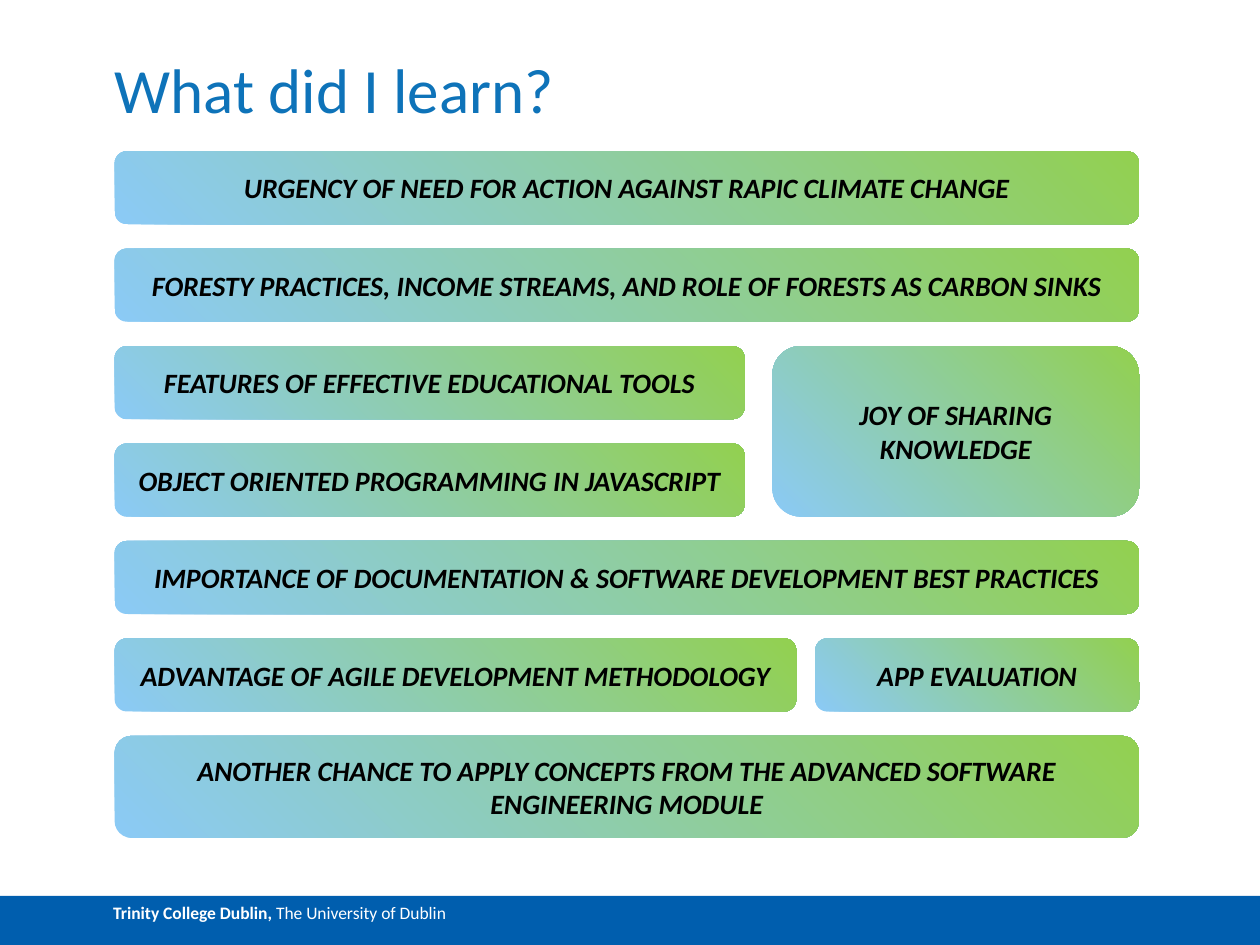
from lxml import etree
from pptx import Presentation
from pptx.dml.color import RGBColor
from pptx.enum.shapes import MSO_SHAPE
from pptx.enum.text import MSO_ANCHOR, PP_ALIGN
from pptx.oxml.ns import qn
from pptx.util import Inches, Pt

RECTANGLE, ROUNDED = MSO_SHAPE.RECTANGLE, MSO_SHAPE.ROUNDED_RECTANGLE
TOP, MIDDLE, BOTTOM = MSO_ANCHOR.TOP, MSO_ANCHOR.MIDDLE, MSO_ANCHOR.BOTTOM
LEFT, CENTER = PP_ALIGN.LEFT, PP_ALIGN.CENTER

BAR_BLUE = RGBColor(0x00, 0x5E, 0xAE)
TITLE_BLUE = RGBColor(0x0E, 0x73, 0xB9)
GREEN = RGBColor(0x92, 0xD0, 0x50)
SKY = RGBColor(0x8B, 0xCA, 0xF6)
BLACK = RGBColor(0x00, 0x00, 0x00)
WHITE = RGBColor(0xFF, 0xFF, 0xFF)

# Grid: seven rows between the first and last box tops
MARGIN, RIGHT = 0.91, 9.04
FIRST_ROW, LAST_ROW = 1.2, 5.84
PITCH = (LAST_ROW - FIRST_ROW) / 6
ROW_HEIGHT = 0.58


def style_span(span, size, color, bold=False, italic=False):
    span.font.name = "Calibri"
    span.font.size = Pt(size)
    span.font.color.rgb = color
    span.font.bold = bold
    span.font.italic = italic


def fill_from_top_right(shape):
    """Fill with a circular gradient, green in the top right corner."""
    shape.fill.gradient()
    for stop, color in zip(shape.fill.gradient_stops, (GREEN, SKY)):
        stop.color.rgb = color
    gradient = shape._element.spPr.find(qn("a:gradFill"))
    gradient.remove(gradient.find(qn("a:lin")))
    circle = etree.Element(qn("a:path"), path="circle")
    etree.SubElement(circle, qn("a:fillToRect"), l="100000", b="100000")
    gradient.find(qn("a:gsLst")).addnext(circle)


deck = Presentation()
deck.slide_width, deck.slide_height = Inches(10), Inches(7.5)
page = deck.slides.add_slide(deck.slide_layouts[5])

# Title
title = page.shapes.title
title.left, title.top = Inches(MARGIN), Inches(0.39)
title.width, title.height = Inches(8.2), Inches(0.61)
frame = title.text_frame
frame.text = "What did I learn?"
frame.margin_left = frame.margin_right = frame.margin_top = frame.margin_bottom = 0
frame.vertical_anchor = BOTTOM
frame.paragraphs[0].alignment = LEFT
style_span(frame.paragraphs[0].runs[0], 36, TITLE_BLUE)

# Footer bar
footer = page.shapes.add_shape(RECTANGLE, 0, Inches(7.11), deck.slide_width, Inches(0.39))
footer.shadow.inherit = False
footer.fill.solid()
footer.fill.fore_color.rgb = BAR_BLUE
footer.line.fill.background()
footer.text_frame.vertical_anchor = TOP
paragraph = footer.text_frame.paragraphs[0]
paragraph.alignment = LEFT
properties = paragraph._p.get_or_add_pPr()
properties.set("marL", str(Inches(0.8)))
properties.set("indent", "0")
for words, bold in (("Trinity College Dublin, ", True), ("The University of Dublin", False)):
    span = paragraph.add_run()
    span.text = words
    style_span(span, 10, WHITE, bold)

# Lessons: row, left edge, right edge, height, text
lessons = [
    (0, MARGIN, RIGHT, ROW_HEIGHT, "URGENCY OF NEED FOR ACTION AGAINST RAPIC CLIMATE CHANGE"),
    (1, MARGIN, RIGHT, ROW_HEIGHT,
     "FORESTY PRACTICES, INCOME STREAMS, AND ROLE OF FORESTS AS CARBON SINKS"),
    (2, MARGIN, 5.91, ROW_HEIGHT, "FEATURES OF EFFECTIVE EDUCATIONAL TOOLS"),
    (3, MARGIN, 5.91, ROW_HEIGHT, "OBJECT ORIENTED PROGRAMMING IN JAVASCRIPT"),
    (4, MARGIN, RIGHT, ROW_HEIGHT,
     "IMPORTANCE OF DOCUMENTATION & SOFTWARE DEVELOPMENT BEST PRACTICES"),
    (5, MARGIN, 6.32, ROW_HEIGHT, "ADVANTAGE OF AGILE DEVELOPMENT METHODOLOGY"),
    (6, MARGIN, RIGHT, 0.81,
     "ANOTHER CHANCE TO APPLY CONCEPTS FROM THE ADVANCED SOFTWARE ENGINEERING MODULE"),
    (2, 6.13, RIGHT, PITCH + ROW_HEIGHT, "JOY OF SHARING KNOWLEDGE"),
    (5, 6.47, RIGHT, ROW_HEIGHT, "APP EVALUATION"),
]
for row, left, right, height, words in lessons:
    box = page.shapes.add_shape(ROUNDED, Inches(left), Inches(FIRST_ROW + row * PITCH),
                                Inches(right - left), Inches(height))
    box.shadow.inherit = False
    fill_from_top_right(box)
    box.line.fill.background()
    frame = box.text_frame
    frame.text = words
    frame.word_wrap = True
    frame.vertical_anchor = MIDDLE
    frame.paragraphs[0].alignment = CENTER
    style_span(frame.paragraphs[0].runs[0], 16, BLACK, bold=True, italic=True)

deck.save("out.pptx")
